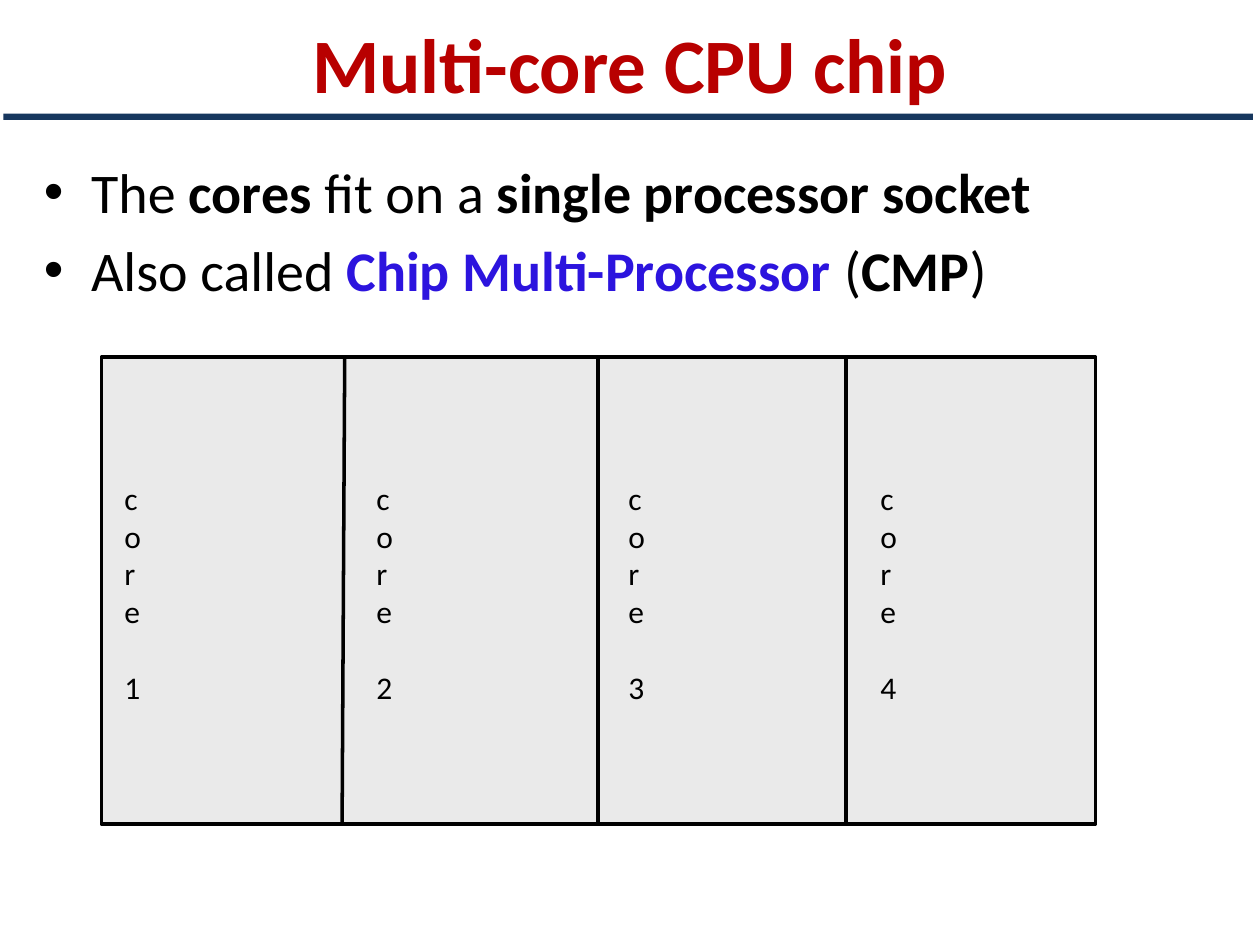
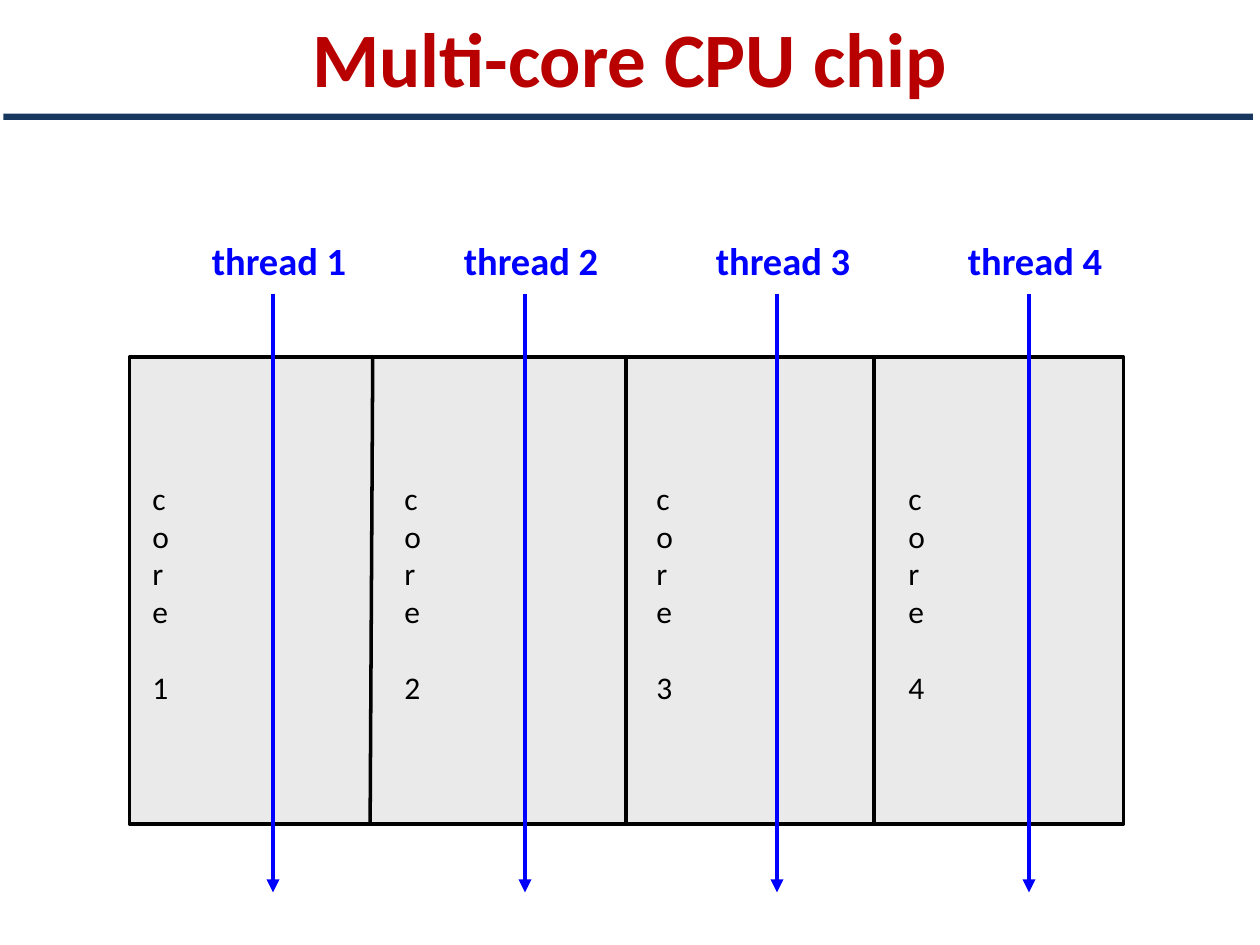
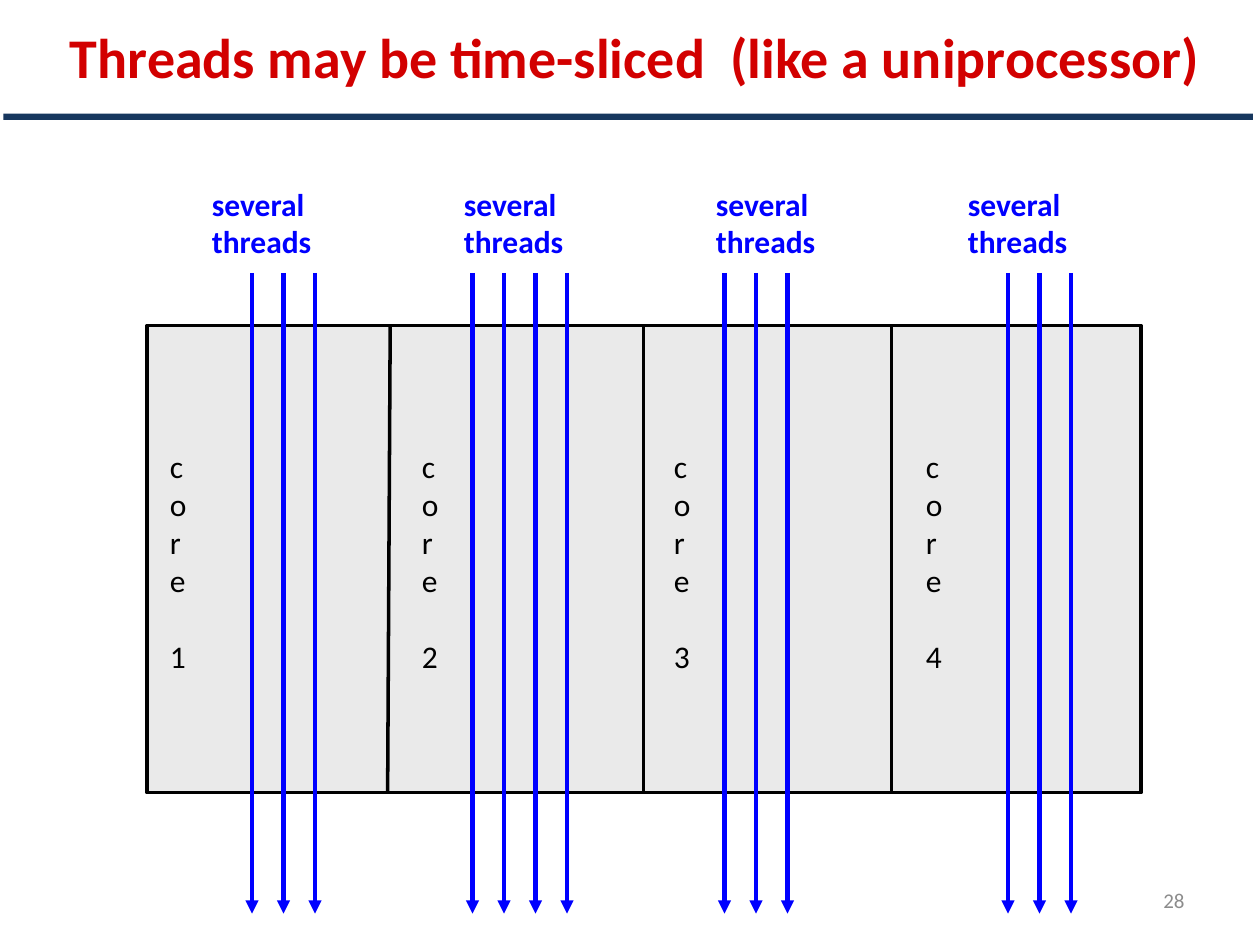
from dataclasses import dataclass

from pptx import Presentation
from pptx.dml.color import RGBColor
from pptx.enum.shapes import MSO_CONNECTOR, MSO_SHAPE
from pptx.enum.text import MSO_ANCHOR, MSO_AUTO_SIZE, PP_ALIGN
from pptx.oxml.ns import qn
from pptx.slide import Slide
from pptx.text.text import TextFrame
from pptx.util import Pt
from lxml import etree

# Shared look
FONT = "Calibri"
BLACK = RGBColor(0x00, 0x00, 0x00)
DARK_RED = RGBColor(0xB8, 0x00, 0x00)
RED = RGBColor(0xD2, 0x00, 0x00)
NAVY = RGBColor(0x17, 0x37, 0x5E)
VIOLET = RGBColor(0x2C, 0x14, 0xDE)
BLUE = RGBColor(0x00, 0x00, 0xFF)
LIGHT_GRAY = RGBColor(0xEA, 0xEA, 0xEA)
GRAY = RGBColor(0x8C, 0x8C, 0x8C)

RECTANGLE = MSO_SHAPE.RECTANGLE
STRAIGHT = MSO_CONNECTOR.STRAIGHT
MIDDLE = MSO_ANCHOR.MIDDLE
CENTER = PP_ALIGN.CENTER
RIGHT = PP_ALIGN.RIGHT
FIT_NONE = MSO_AUTO_SIZE.NONE
FIT_SHAPE = MSO_AUTO_SIZE.SHAPE_TO_FIT_TEXT

TITLE_ONLY = 5
CORES = 4
CORE_PITCH = 144
CHIP_WIDTH, CHIP_HEIGHT = 568, 267
LABEL_LEFT = 114


@dataclass(frozen=True)
class Box:
    left: float
    top: float
    width: float
    height: float

    def lengths(self) -> tuple:
        return Pt(self.left), Pt(self.top), Pt(self.width), Pt(self.height)


@dataclass(frozen=True)
class Style:
    size: float
    color: RGBColor
    bold: bool = False


@dataclass(frozen=True)
class Divider:
    top_x: float
    bottom_x: float


@dataclass(frozen=True)
class Span:
    text: str
    bold: bool = False
    color: RGBColor = BLACK


DIVIDERS = (Divider(139, 137.5), Divider(283.7, 283.7), Divider(425.5, 425.5))
BULLETS = (
    (Span("The "), Span("cores", True), Span(" fit on a "),
     Span("single processor socket", True)),
    (Span("Also called "), Span("Chip Multi-Processor ", True, VIOLET),
     Span("("), Span("CMP", True), Span(")")),
)
CORE_STYLE = Style(18, BLACK)


def set_font(font, style: Style) -> None:
    font.name = FONT
    font.size = Pt(style.size)
    font.bold = style.bold
    font.color.rgb = style.color


def format_runs(tf: TextFrame, style: Style) -> None:
    for p in tf.paragraphs:
        for r in p.runs:
            set_font(r.font, style)


def add_text(slide: Slide, box: Box, text: str, style: Style,
             wrap: bool = True) -> TextFrame:
    tf = slide.shapes.add_textbox(*box.lengths()).text_frame
    tf.word_wrap = wrap
    tf.auto_size = FIT_SHAPE
    tf.text = text
    format_runs(tf, style)
    return tf


def add_rect(slide: Slide, box: Box, fill: RGBColor):
    sp = slide.shapes.add_shape(RECTANGLE, *box.lengths())
    sp.shadow.inherit = False
    sp.fill.solid()
    sp.fill.fore_color.rgb = fill
    sp.line.fill.background()
    return sp


def add_line(slide: Slide, x1: float, y1: float, x2: float, y2: float,
             color: RGBColor, width: float, arrow: bool = False) -> None:
    line = slide.shapes.add_connector(STRAIGHT, Pt(x1), Pt(y1), Pt(x2), Pt(y2))
    line.line.color.rgb = color
    line.line.width = Pt(width)
    if arrow:
        ln = line.line._get_or_add_ln()
        etree.SubElement(ln, qn("a:tailEnd"), type="triangle")
    etree.SubElement(line._element.spPr, qn("a:effectLst"))


def add_slide(prs, title: str, box: Box, style: Style) -> Slide:
    """Add a slide with its title and the rule below it."""
    slide = prs.slides.add_slide(prs.slide_layouts[TITLE_ONLY])
    sp = slide.shapes.title
    sp.left, sp.top, sp.width, sp.height = box.lengths()
    tf = sp.text_frame
    tf.text = title
    tf.word_wrap = True
    tf.auto_size = FIT_NONE
    tf.vertical_anchor = MIDDLE
    tf.paragraphs[0].alignment = CENTER
    format_runs(tf, style)
    add_rect(slide, Box(2, 65, 714, 3.6), NAVY)
    return slide


def add_bullets(slide: Slide, box: Box) -> None:
    tf = slide.shapes.add_textbox(*box.lengths()).text_frame
    tf.word_wrap = True
    for i, spans in enumerate(BULLETS):
        p = tf.add_paragraph() if i else tf.paragraphs[0]
        pPr = p._p.get_or_add_pPr()
        pPr.set("marL", str(Pt(27)))
        pPr.set("indent", str(-Pt(27)))
        if i:
            p.space_before = Pt(6.4)
        etree.SubElement(pPr, qn("a:buFont"), typeface="Arial")
        etree.SubElement(pPr, qn("a:buChar"), char="•")
        for span in spans:
            r = p.add_run()
            r.text = span.text
            set_font(r.font, Style(32, span.color, span.bold))


def add_chip(slide: Slide, left: float, top: float) -> None:
    """Draw the chip with its dividers and the core names set letter by letter."""
    chip = add_rect(slide, Box(left, top, CHIP_WIDTH, CHIP_HEIGHT), LIGHT_GRAY)
    chip.line.color.rgb = BLACK
    chip.line.width = Pt(2)
    for d in DIVIDERS:
        add_line(slide, left + d.top_x, top, left + d.bottom_x,
                 top + CHIP_HEIGHT, BLACK, 2)
    for i in range(CORES):
        box = Box(left + 6 + i * CORE_PITCH, top + 66, 26, 137)
        tf = add_text(slide, box, f"core\n{i + 1}", CORE_STYLE)
        tf.paragraphs[1].space_before = Pt(22)


def add_thread(slide: Slide, x: float, top: float, bottom: float) -> None:
    add_line(slide, x, top, x, bottom, BLUE, 2.5, arrow=True)


def build_cores(prs) -> None:
    slide = add_slide(prs, "Multi-core CPU chip", Box(0, 0, 720, 72),
                      Style(44, DARK_RED, True))
    add_bullets(slide, Box(18, 86.4, 648, 356))
    add_chip(slide, 58, 204)


def build_threads(prs) -> None:
    slide = add_slide(prs, "Multi-core CPU chip", Box(0, 0, 720, 65),
                      Style(44, DARK_RED, True))
    add_chip(slide, 74, 204)
    for i in range(CORES):
        shift = i * CORE_PITCH
        add_thread(slide, 156 + shift, 168, 510)
        add_text(slide, Box(LABEL_LEFT + shift, 132, 92, 34),
                 f"thread {i + 1}", Style(22, BLUE, True), wrap=False)


def build_time_slices(prs) -> None:
    slide = add_slide(prs, "Threads may be time-sliced  (like a uniprocessor)",
                      Box(6, 0, 714, 64), Style(32, RED, True))
    add_chip(slide, 84, 186)
    # First arrow and number of arrows for each core
    for i, (first_x, count) in enumerate(((144, 3), (270, 4), (414, 3), (576, 3))):
        add_text(slide, Box(LABEL_LEFT + i * CORE_PITCH, 102, 72, 51),
                 "several\vthreads", Style(18, BLUE, True), wrap=False)
        for k in range(count):
            add_thread(slide, first_x + 18 * k, 156, 522)
    # Page number
    tf = add_text(slide, Box(516, 500, 168, 29), "28", Style(12, GRAY))
    tf.auto_size = FIT_NONE
    tf.vertical_anchor = MIDDLE
    tf.paragraphs[0].alignment = RIGHT


def main() -> None:
    prs = Presentation()
    prs.slide_width, prs.slide_height = Pt(720), Pt(540)
    build_cores(prs)
    build_threads(prs)
    build_time_slices(prs)
    prs.save("out.pptx")


if __name__ == "__main__":
    main()
